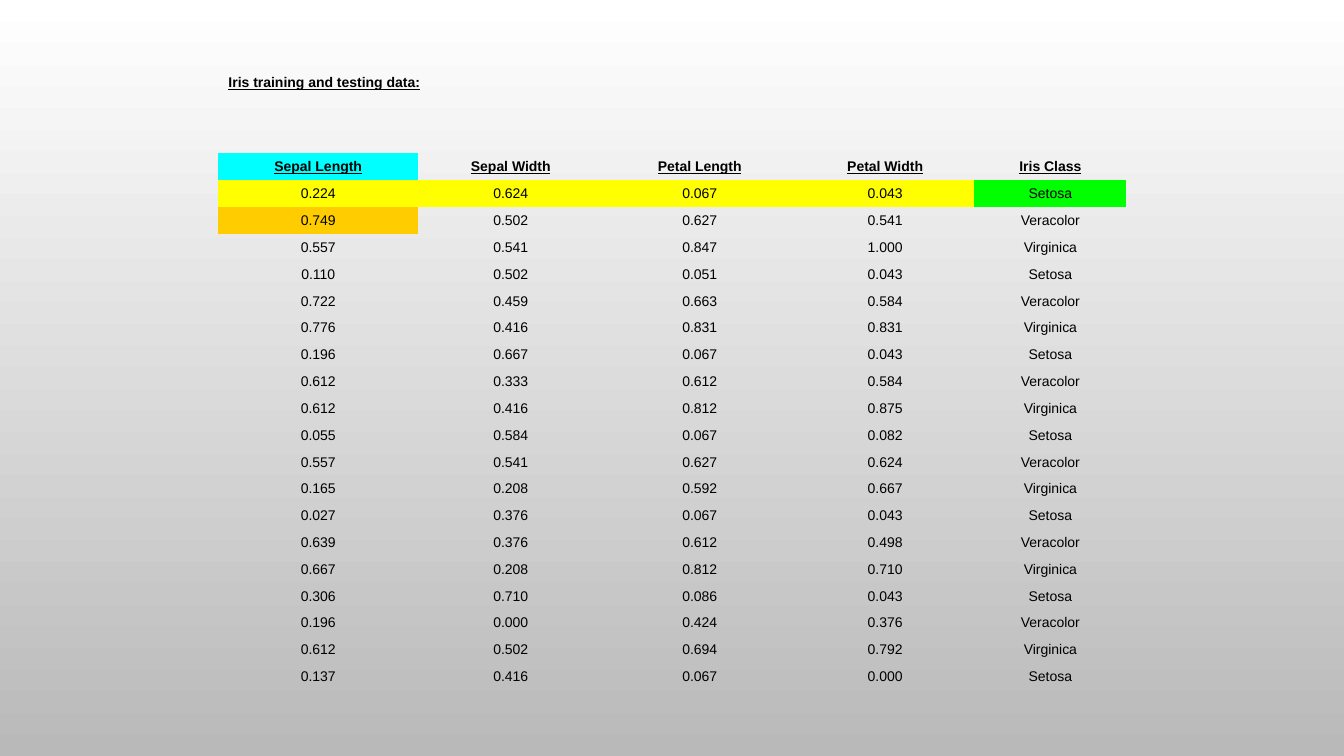
from pptx import Presentation
from pptx.dml.color import RGBColor
from pptx.enum.text import MSO_ANCHOR, PP_ALIGN
from pptx.oxml.ns import qn
from pptx.util import Pt

BLACK = RGBColor(0x00, 0x00, 0x00)
WHITE = RGBColor(0xFF, 0xFF, 0xFF)
GREY = RGBColor(0xB9, 0xB9, 0xB9)
CYAN = RGBColor(0x00, 0xFF, 0xFF)
YELLOW = RGBColor(0xFF, 0xFF, 0x00)
GREEN = RGBColor(0x00, 0xFF, 0x00)
ORANGE = RGBColor(0xFF, 0xCC, 0x00)
NO_GRID = "{2D5ABB26-0587-4C30-8999-92F81FD0307C}"

HEADS = ["Sepal Length", "Sepal Width", "Petal Length", "Petal Width", "Iris Class"]
KINDS = ["Setosa", "Veracolor", "Virginica"]  # the classes take turns
DATA = """
0.224 0.624 0.067 0.043
0.749 0.502 0.627 0.541
0.557 0.541 0.847 1.000
0.110 0.502 0.051 0.043
0.722 0.459 0.663 0.584
0.776 0.416 0.831 0.831
0.196 0.667 0.067 0.043
0.612 0.333 0.612 0.584
0.612 0.416 0.812 0.875
0.055 0.584 0.067 0.082
0.557 0.541 0.627 0.624
0.165 0.208 0.592 0.667
0.027 0.376 0.067 0.043
0.639 0.376 0.612 0.498
0.667 0.208 0.812 0.710
0.306 0.710 0.086 0.043
0.196 0.000 0.424 0.376
0.612 0.502 0.694 0.792
0.137 0.416 0.067 0.000
"""
rows = [line.split() for line in DATA.strip().splitlines()]
rows = [row + [KINDS[i % 3]] for i, row in enumerate(rows)]

# Highlighted cells by row and column
FILLS = {(2, 0): CYAN, (3, 4): GREEN, (4, 0): ORANGE}
FILLS.update({(3, c): YELLOW for c in range(4)})


def write(cell, text, align, strong):
    cell.vertical_anchor = MSO_ANCHOR.BOTTOM
    para = cell.text_frame.paragraphs[0]
    para.text = text
    para.alignment = align
    props = para._p.get_or_add_pPr()
    props.set("marL", str(Pt(27)))
    props.set("indent", str(Pt(-27)))
    font = para.font
    font.name, font.size = "Arial", Pt(10)
    font.bold = font.underline = strong
    font.color.rgb = BLACK


# Slide with a white to grey background
deck = Presentation()
deck.slide_width, deck.slide_height = Pt(960), Pt(540)
slide = deck.slides.add_slide(deck.slide_layouts[6])
back = slide.background.fill
back.gradient()
back.gradient_angle = 270
for stop, color, place in zip(back.gradient_stops, (WHITE, GREY), (0, 1)):
    stop.color.rgb = color
    stop.position = place

# Plain table without grid
widths = [142.6, 132.5, 137.5, 127.4, 108.7]
heights = [44.6, 41] + [19.18] * (len(rows) + 1)
frame = slide.shapes.add_table(len(heights), len(widths), Pt(156), Pt(23.8),
                               Pt(sum(widths)), Pt(sum(heights)))
table = frame.table
table.first_row = table.horz_banding = False
table._tbl.tblPr.find(qn("a:tableStyleId")).text = NO_GRID
for col, width in zip(table.columns, widths):
    col.width = Pt(width)
for row, height in zip(table.rows, heights):
    row.height = Pt(height)
for cell in table.iter_cells():
    cell.fill.background()

# Heading across three columns
table.cell(0, 0).merge(table.cell(0, 2))
write(table.cell(0, 0), "Iris training and testing data:", PP_ALIGN.LEFT, True)

# Column heads and data
for r, row in enumerate([HEADS] + rows, start=2):
    for c, text in enumerate(row):
        write(table.cell(r, c), text, PP_ALIGN.CENTER, r == 2)
for (r, c), color in FILLS.items():
    fill = table.cell(r, c).fill
    fill.solid()
    fill.fore_color.rgb = color

deck.save("out.pptx")
